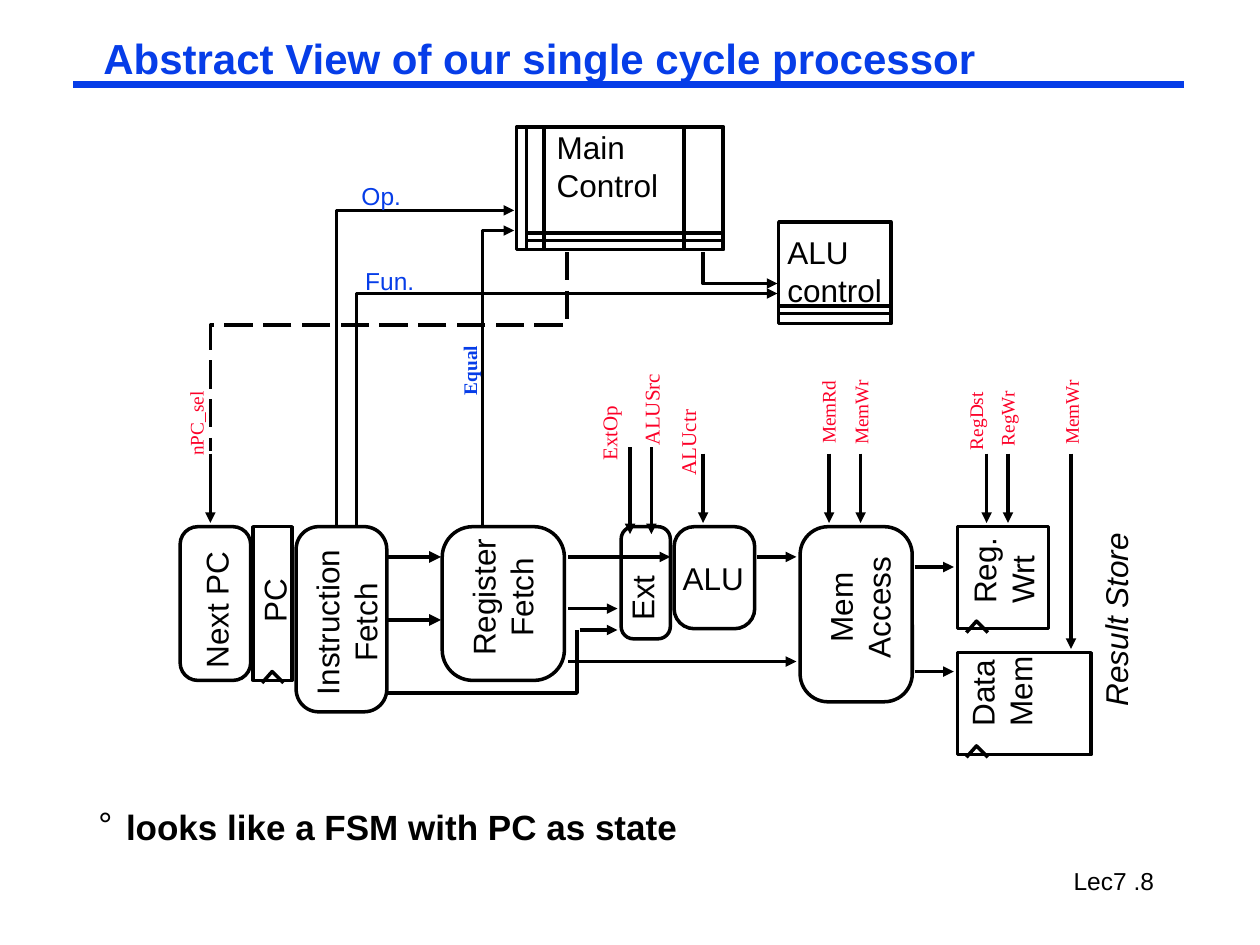
import pptx
import pptx.util
import pptx.dml.color
import pptx.enum.dml
import pptx.enum.shapes
import pptx.enum.text
import pptx.oxml.ns
from lxml import etree

Inches, Pt = pptx.util.Inches, pptx.util.Pt
RGBColor = pptx.dml.color.RGBColor
MSO_SHAPE = pptx.enum.shapes.MSO_SHAPE
PP_ALIGN = pptx.enum.text.PP_ALIGN
qn = pptx.oxml.ns.qn

BLACK = RGBColor(0x00, 0x00, 0x00)
BLUE = RGBColor(0x06, 0x3D, 0xE8)
RED = RGBColor(0xFC, 0x01, 0x28)
SANS, SERIF = "Arial", "Times New Roman"
TOP = 4.18  # shared top edge of the datapath stages

TITLE = "Abstract View of our single cycle processor"
BULLET = "looks like a FSM with PC as state"
FOOTER = "Lec7 .8"

# left, width, height
STAGES = [
    (1.43, 0.56, 1.22),  # Next PC
    (2.35, 0.72, 1.47),  # Instruction Fetch
    (3.51, 0.97, 1.22),  # Register Fetch
    (4.93, 0.39, 0.89),  # Ext
    (5.35, 0.64, 0.81),  # ALU
    (6.35, 0.89, 1.39),  # Mem Access
]
# left, top, width, height
BOXES = [
    (2.01, TOP, 0.31, 1.22),   # PC
    (7.6, TOP, 0.72, 0.81),    # Reg. Wrt
    (7.6, 5.18, 1.06, 0.81),   # Data Mem
    (4.1, 1.01, 1.64, 0.97),   # Main Control
    (4.18, 1.01, 0.14, 0.97),
    (5.43, 1.01, 0.31, 0.97),
    (4.18, 1.85, 1.56, 0.06),
    (6.18, 1.76, 0.89, 0.81),  # ALU control
    (6.18, 2.43, 0.89, 0.06),
]
CLOCKS = [(2.08, 5.33), (7.67, 4.93), (7.67, 5.92)]

# x, start y, end y
CONTROL_ARROWS = [
    (1.67, 3.6, 4.15), (5, 3.55, 4.24), (5.17, 3.55, 4.24),
    (5.58, 3.6, 4.15), (6.58, 3.6, 4.15), (6.83, 3.6, 4.15),
    (7.83, 3.6, 4.15), (8, 3.6, 4.15), (8.5, 3.6, 5.15),
]
# y, start x, end x, weight
DATA_ARROWS = [
    (4.42, 3.08, 3.5, 2.25), (4.92, 3.08, 3.5, 2.25),
    (4.42, 4.51, 5.32, 2), (4.83, 4.51, 4.9, 2), (5, 4.6, 4.9, 2),
    (5.25, 4.51, 6.32, 2), (4.42, 6.01, 6.32, 2),
    (4.5, 7.26, 7.57, 2), (5.33, 7.26, 7.57, 2),
]
# points, arrow, dashed
WIRES = [
    ([(5.58, 2), (5.58, 2.25), (6.17, 2.25)], True, False),
    ([(2.67, 4.17), (2.67, 1.67), (4.08, 1.67)], True, False),
    ([(3.83, 4.17), (3.83, 1.83), (4.08, 1.83)], True, False),
    ([(2.83, 4.17), (2.83, 2.33), (6.17, 2.33)], True, False),
    ([(4.5, 2), (4.5, 2.58), (1.67, 2.58), (1.67, 3.58)], False, True),
    ([(4.58, 5), (4.58, 5.5), (3.08, 5.5)], False, False),
]

# lines, (left, top, width, height), options
UP = {"rotation": 270}
UP_CENTER = {"rotation": 270, "align": PP_ALIGN.CENTER}
BLOCK_LABELS = [
    (["PC"], (1.9, 4.56, 0.55, 0.4), UP),
    (["Next PC"], (1.15, 4.64, 1.13, 0.4), UP),
    (["Register", "Fetch"], (3.42, 4.39, 1.13, 0.7), UP_CENTER),
    (["ALU"], (5.32, 4.39, 0.68, 0.4), {}),
    (["Reg.", "Wrt"], (7.56, 4.14, 0.8, 0.7), UP),
    (["Mem", "Access"], (6.32, 4.47, 1, 0.7), UP_CENTER),
    (["Data", "Mem"], (7.57, 5.14, 0.75, 0.7), UP),
    (["Instruction", "Fetch"], (1.95, 4.59, 1.59, 0.7), UP_CENTER),
    (["Result Store"], (8.07, 4.72, 1.57, 0.4), {**UP, "italic": True}),
    (["Ext"], (4.74, 4.47, 0.71, 0.4), UP),
    (["Main", "Control"], (4.32, 0.97, 1, 0.7), {}),
    (["ALU", "control"], (6.15, 1.8, 0.95, 0.7), {}),
    (["Op."], (2.77, 1.39, 0.51, 0.33), {"size": 14, "color": BLUE}),
    (["Fun."], (2.8, 2.06, 0.59, 0.33), {"size": 14, "color": BLUE}),
]
SIGNAL = {"rotation": 270, "size": 11, "font": SERIF, "color": RED}
LARGE_SIGNAL = {**SIGNAL, "size": 12}
SIGNAL_LABELS = [
    (["ALUctr"], (4.96, 3.22, 1, 0.3), LARGE_SIGNAL),
    (["ALUSrc"], (4.55, 2.86, 1.24, 0.3), LARGE_SIGNAL),
    (["ExtOp"], (4.2, 2.97, 1.27, 0.3), LARGE_SIGNAL),
    (["RegDst"], (7.41, 3.2, 0.66, 0.28), SIGNAL),
    (["RegWr"], (7.67, 3.18, 0.64, 0.28), SIGNAL),
    (["MemWr"], (8.14, 3.13, 0.72, 0.28), SIGNAL),
    (["MemWr"], (6.47, 3.13, 0.72, 0.28), SIGNAL),
    (["MemRd"], (6.22, 3.13, 0.7, 0.28), SIGNAL),
    (["nPC_sel"], (1.2, 3.22, 0.71, 0.28), SIGNAL),
    (["Equal"], (3.43, 2.8, 0.59, 0.28), {**SIGNAL, "color": BLUE, "bold": True}),
]


def place(sp, box):
    sp.left, sp.top, sp.width, sp.height = map(Inches, box)


def write(sp, lines, size=18, color=BLACK, font=SANS, bold=False, italic=False,
          align=PP_ALIGN.LEFT, insets=(0.1, 0.05), rotation=0):
    """Fill a text frame; the side insets that do not set the text's start are zero."""
    tf = sp.text_frame
    tf.word_wrap = True
    tf.auto_size = pptx.enum.text.MSO_AUTO_SIZE.NONE
    tf.vertical_anchor = pptx.enum.text.MSO_ANCHOR.TOP
    tf.margin_left = Inches(insets[0] if align == PP_ALIGN.LEFT else 0)
    tf.margin_right = 0
    tf.margin_top = tf.margin_bottom = Inches(insets[1])
    sp.rotation = rotation
    for i, line in enumerate(lines):
        p = tf.add_paragraph() if i else tf.paragraphs[0]
        p.alignment = align
        r = p.add_run()
        r.text = line
        f = r.font
        f.name, f.size, f.bold, f.italic = font, Pt(size), bold, italic
        f.color.rgb = color
    return tf.paragraphs[0]


def add_text(s, lines, box, **options):
    return write(s.shapes.add_textbox(*map(Inches, box)), lines, **options)


def stroke(sp, color=BLACK, weight=2, arrow=False, dashed=False):
    sp.line.color.rgb, sp.line.width = color, Pt(weight)
    if dashed:
        sp.line.dash_style = pptx.enum.dml.MSO_LINE.LONG_DASH
    if arrow:
        etree.SubElement(sp.line._get_or_add_ln(), qn("a:tailEnd"), type="triangle")


def add_line(s, x1, y1, x2, y2, **options):
    c = s.shapes.add_connector(pptx.enum.shapes.MSO_CONNECTOR.STRAIGHT,
                               *map(Inches, (x1, y1, x2, y2)))
    stroke(c, **options)
    etree.SubElement(c._element.spPr, qn("a:effectLst"))


def add_box(s, kind, box):
    sp = s.shapes.add_shape(kind, *map(Inches, box))
    sp.shadow.inherit = False
    sp.fill.background()
    stroke(sp)
    return sp


def add_wire(s, points, **options):
    points = [(Inches(x), Inches(y)) for x, y in points]
    fb = s.shapes.build_freeform(*points[0], scale=1.0)
    fb.add_line_segments(points[1:], close=False)
    sp = fb.convert_to_shape()
    sp.shadow.inherit = False
    sp.fill.background()
    stroke(sp, **options)


def main():
    prs = pptx.Presentation()
    prs.slide_width, prs.slide_height = Inches(10), Inches(7.5)
    s = prs.slides.add_slide(prs.slide_layouts[5])

    add_line(s, 0.58, 0.67, 9.4, 0.67, color=BLUE, weight=3.75)
    place(s.shapes.title, (0.75, 0.28, 7.06, 0.75))
    insets = (0.07, 0.03)
    p = write(s.shapes.title, [TITLE], size=24, color=BLUE, bold=True, insets=insets)
    p.line_spacing = 0.87
    add_text(s, [FOOTER], (7.8, 6.84, 2.08, 0.29), size=14,
             align=PP_ALIGN.CENTER, insets=insets)
    p = add_text(s, [BULLET], (0.71, 6.44, 8.92, 0.31), size=20, bold=True,
                 insets=insets)
    p.line_spacing = 0.75
    pPr = p._p.get_or_add_pPr()
    pPr.set("marL", str(Inches(0.22)))
    pPr.set("indent", str(-Inches(0.22)))
    etree.SubElement(pPr, qn("a:buFont"), typeface=SANS)
    etree.SubElement(pPr, qn("a:buChar"), char="°")

    for left, width, height in STAGES:
        sp = add_box(s, MSO_SHAPE.ROUNDED_RECTANGLE, (left, TOP, width, height))
        sp.adjustments[0] = 0.25
    for box in BOXES:
        add_box(s, MSO_SHAPE.RECTANGLE, box)
    for x, y in CLOCKS:
        add_wire(s, [(x, y + 0.09), (x + 0.08, y), (x + 0.17, y + 0.09)])
    for x, y1, y2 in CONTROL_ARROWS:
        add_line(s, x, y1, x, y2, arrow=True)
    for y, x1, x2, weight in DATA_ARROWS:
        add_line(s, x1, y, x2, y, weight=weight, arrow=True)
    for points, arrow, dashed in WIRES:
        add_wire(s, points, arrow=arrow, dashed=dashed)
    for lines, box, options in BLOCK_LABELS + SIGNAL_LABELS:
        add_text(s, lines, box, **options)

    prs.save("out.pptx")


if __name__ == "__main__":
    main()
